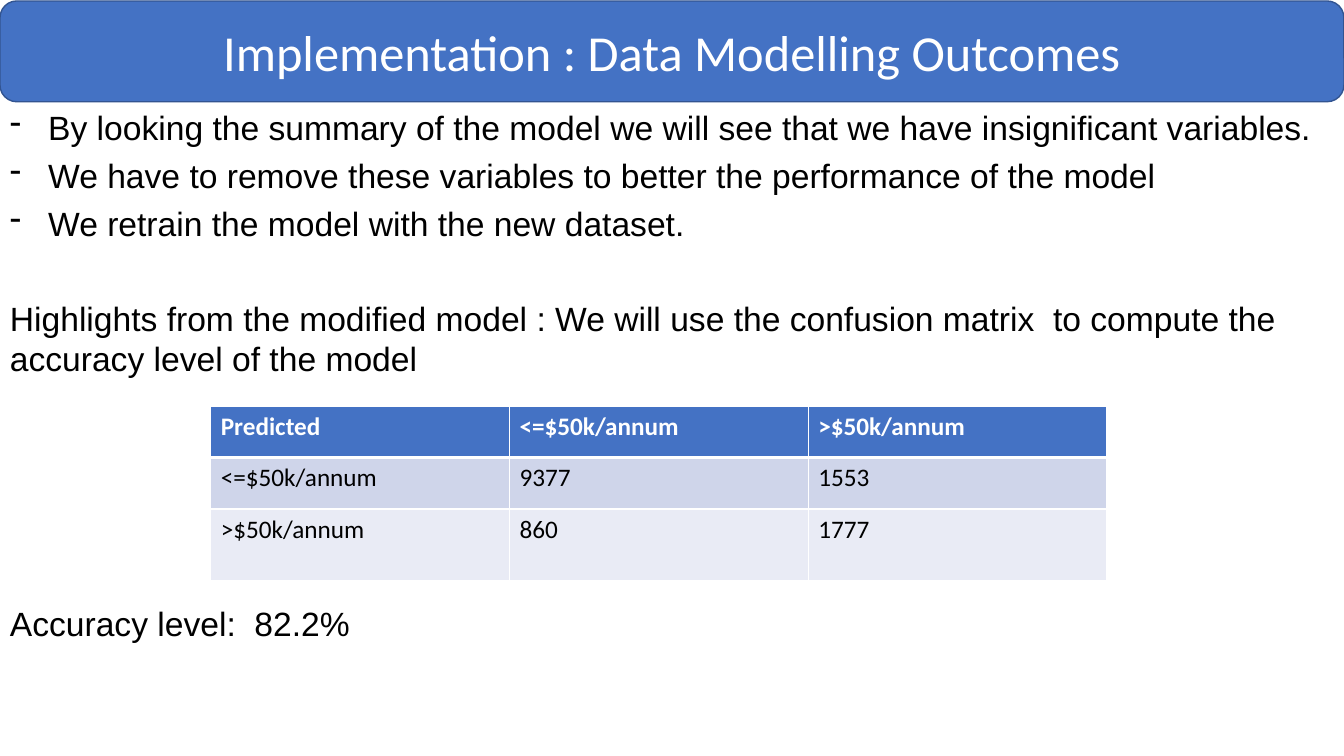
from dataclasses import dataclass

from lxml import etree
from pptx import Presentation, util as u
from pptx.dml.color import RGBColor as Rgb
from pptx.enum import shapes, text
from pptx.oxml import ns

PX = 9144


@dataclass(frozen=True)
class Theme:
    """Colours, fonts and type sizes."""
    blue: str = "4472C4"
    edge: str = "325491"
    band: str = "CFD5EA"
    pale: str = "E9EBF5"
    white: str = "FFFFFF"
    black: str = "000000"
    head: str = "Calibri"
    body: str = "Arial"
    title: int = 36
    main: int = 24
    cell: int = 18


LOOK = Theme()
POINTS = (
    "By looking the summary of the model we will see that we have insignificant variables.",
    "We have to remove these variables to better the performance of the model",
    "We retrain the model with the new dataset.",
)
NOTE = ("Highlights from the modified model : We will use the confusion matrix  "
        "to compute the accuracy level of the model")
SCORE = "Accuracy level:  82.2%"
MATRIX = (
    ("Predicted", "<=$50k/annum", ">$50k/annum"),
    ("<=$50k/annum", "9377", "1553"),
    (">$50k/annum", "860", "1777"),
)


def px(box):
    """Turn a box in px into EMU."""
    return [n * PX for n in box]


def paint(fill, tint):
    """Give a solid fill."""
    fill.solid()
    fill.fore_color.rgb = Rgb.from_string(tint)


def write(para, words, face, size, tint, bold=False):
    """Add one styled run."""
    run = para.add_run()
    run.text = words
    font = run.font
    font.name, font.size, font.bold = face, u.Pt(size), bold
    font.color.rgb = Rgb.from_string(tint)


def banner(slide, box, words):
    """Draw the title bar."""
    bar = slide.shapes.add_shape(shapes.MSO_SHAPE.ROUNDED_RECTANGLE, *px(box))
    bar.shadow.inherit = False
    paint(bar.fill, LOOK.blue)
    paint(bar.line.fill, LOOK.edge)
    bar.line.width = u.Pt(1)
    frame = bar.text_frame
    frame.vertical_anchor = text.MSO_ANCHOR.MIDDLE
    para = frame.paragraphs[0]
    para.alignment = text.PP_ALIGN.CENTER
    write(para, words, LOOK.head, LOOK.title, LOOK.white)


def dash(para):
    """Set a hanging dash bullet."""
    props = para._p.get_or_add_pPr()
    props.set("marL", str(38 * PX))
    props.set("indent", str(-38 * PX))
    etree.SubElement(props, ns.qn("a:buChar"), char="-")


def prose(slide, box, points, note):
    """Write dashed points and a closing note."""
    frame = slide.shapes.add_textbox(*px(box)).text_frame
    frame.word_wrap = True
    for i, words in enumerate((*points, note)):
        para = frame.paragraphs[0] if i == 0 else frame.add_paragraph()
        last = i == len(points)
        para.space_before = u.Pt(39 if last and points else 5.5)
        if not last:
            dash(para)
        write(para, words, LOOK.body, LOOK.main, LOOK.black)


def edges(cell, low):
    """Rule a cell in white, with its own bottom weight."""
    props = cell._tc.get_or_add_tcPr()
    for i, (side, wide) in enumerate(zip("LRTB", (1, 1, 1, low))):
        line = etree.Element(ns.qn(f"a:ln{side}"), w=str(u.Pt(wide)))
        solid = etree.SubElement(line, ns.qn("a:solidFill"))
        etree.SubElement(solid, ns.qn("a:srgbClr"), val=LOOK.white)
        props.insert(i, line)


def matrix(slide, box, rows, highs):
    """Draw the confusion matrix."""
    grid = slide.shapes.add_table(len(rows), len(rows[0]), *px(box)).table
    for line, high in zip(grid.rows, highs):
        line.height = high * PX
    fills = (LOOK.blue, LOOK.band, LOOK.pale)
    for r, row in enumerate(rows):
        top = r == 0
        for c, words in enumerate(row):
            cell = grid.cell(r, c)
            paint(cell.fill, fills[r])
            edges(cell, 3 if top else 1)
            tint = LOOK.white if top else LOOK.black
            write(cell.text_frame.paragraphs[0], words, LOOK.head, LOOK.cell, tint, top)


def main():
    """Build and save the slide."""
    deck = Presentation()
    deck.slide_width, deck.slide_height = px((1333, 750))
    slide = deck.slides.add_slide(deck.slide_layouts[6])
    prose(slide, (0, 101, 1344, 290), POINTS, NOTE)
    prose(slide, (0, 593, 1344, 55), (), SCORE)
    matrix(slide, (209, 403, 889, 173), MATRIX, (51, 51, 71))
    banner(slide, (0, 1, 1333, 100), "Implementation : Data Modelling Outcomes")
    deck.save("out.pptx")


if __name__ == "__main__":
    main()
